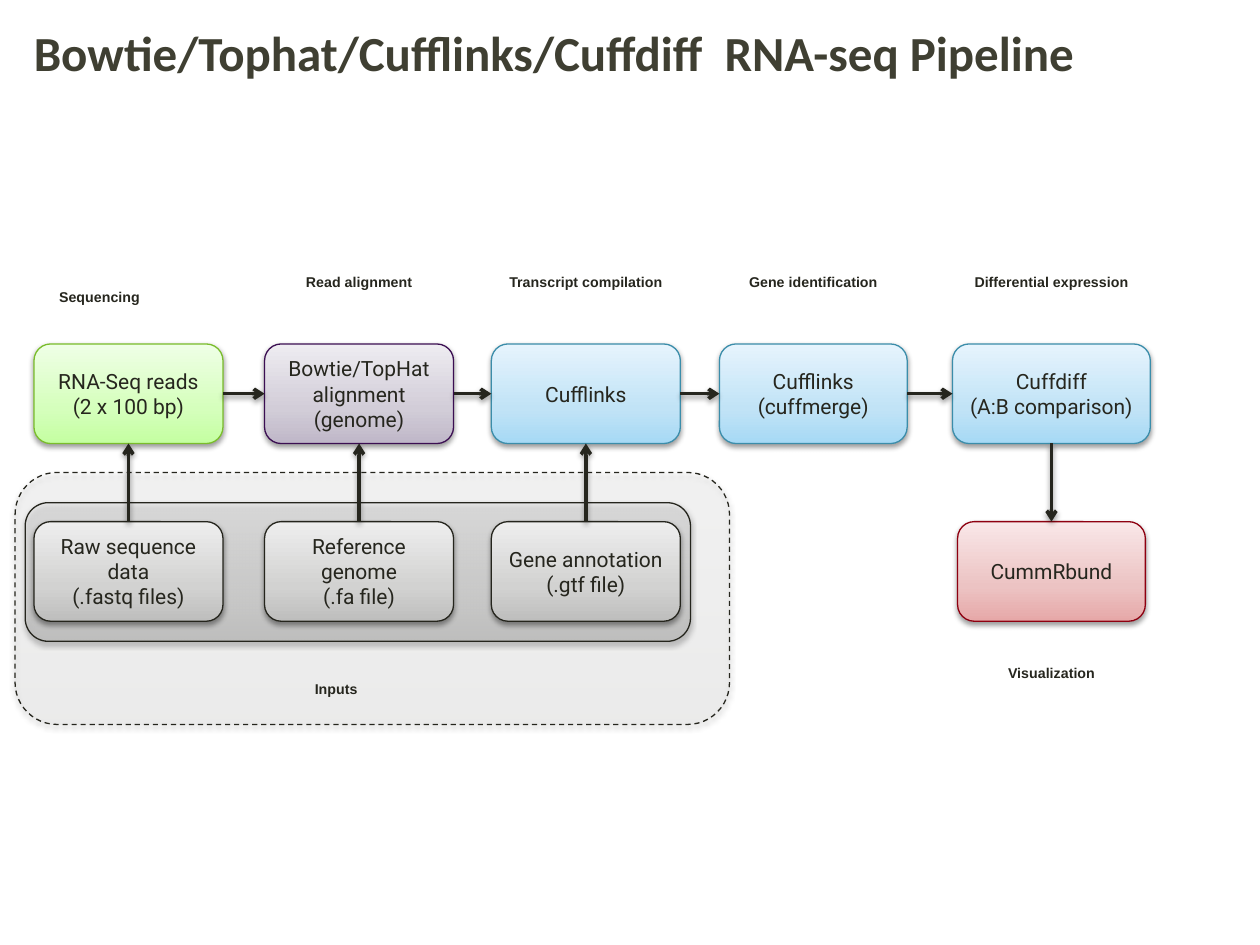
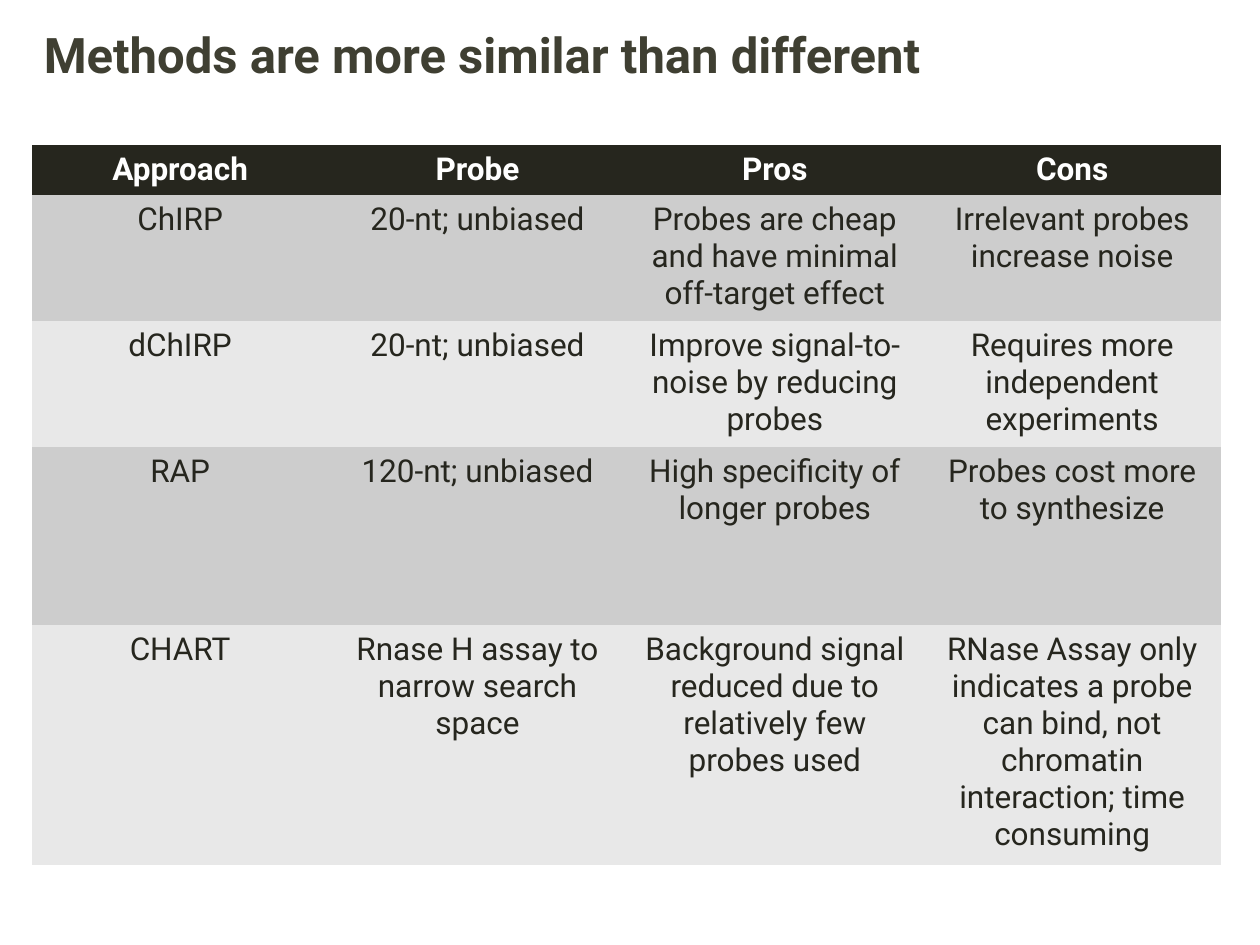
from dataclasses import dataclass

from lxml.etree import SubElement
from pptx import Presentation
from pptx.dml.color import RGBColor
from pptx.enum.dml import MSO_LINE
from pptx.enum.shapes import MSO_CONNECTOR, MSO_SHAPE
from pptx.enum.text import MSO_ANCHOR, PP_ALIGN
from pptx.oxml.ns import qn
from pptx.util import Inches, Pt


@dataclass(frozen=True)
class Theme:
    """Colours, fonts and sizes shared by the slides."""
    title: str = "3F3F32"
    ink: str = "26261E"
    white: str = "FFFFFF"
    bands: tuple = ("CDCDCD", "E8E8E8")
    green: tuple = ("7ABD2B", "C4FFA1", "D5FFBC", "EFFFE6")
    purple: tuple = ("3B0E52", "BFB7C8", "D2CDD8", "EEECF1")
    blue: tuple = ("3B8DAA", "A6D9F5", "C1E3F6", "E6F4FD")
    red: tuple = ("8E0010", "E6A8A8", "ECC3C3", "F9E7E8")
    gray: tuple = ("25251D", "BEBEBD", "D2D2D1", "EEEEEE")
    body_font: str = "Roboto"
    label_font: str = "Arial"
    pipeline_title_font: str = "Calibri"
    title_size: int = 28
    table_size: int = 18
    label_size: int = 14
    node_size: int = 12


THEME = Theme()
NODE_HEIGHT = 0.79
NO_STYLE = "{2D5ABB26-0587-4C30-8999-92F81FD0307C}"


@dataclass(frozen=True)
class Box:
    """A rectangle in inches."""
    left: float
    top: float
    width: float
    height: float

    def inside(self, left, top, width, height):
        """Return a box placed relative to this one."""
        return Box(self.left + left, self.top + top, width, height)

    def lengths(self):
        """Return left, top, width and height as lengths."""
        return [Inches(value) for value in (self.left, self.top, self.width, self.height)]


def write(frame, text, size, color=THEME.ink, font=THEME.body_font, bold=False,
          align=PP_ALIGN.CENTER, anchor=MSO_ANCHOR.TOP, baseline=None):
    """Fill a text frame with one paragraph per line of text."""
    frame.word_wrap = True
    frame.vertical_anchor = anchor
    for index, line in enumerate(text.split("\n")):
        para = frame.add_paragraph() if index else frame.paragraphs[0]
        para.alignment = align
        span = para.add_run()
        span.text = line
        span.font.size = Pt(size)
        span.font.name = font
        span.font.bold = bold
        span.font.color.rgb = RGBColor.from_string(color)
        if baseline:
            span.font._element.set("baseline", str(baseline))


def add_title(slide, box, text, font=THEME.body_font):
    """Add the slide title."""
    frame = slide.shapes.add_textbox(*box.lengths()).text_frame
    write(frame, text, THEME.title_size, color=THEME.title, font=font, bold=True,
          align=PP_ALIGN.LEFT, anchor=MSO_ANCHOR.MIDDLE)


def add_label(slide, box, text, align=PP_ALIGN.CENTER):
    """Add a bold subscript stage label."""
    frame = slide.shapes.add_textbox(*box.lengths()).text_frame
    write(frame, text, THEME.label_size, font=THEME.label_font, bold=True,
          align=align, baseline=-25000)


def add_shadow(effects):
    """Put the soft shadow below an object into its effect list."""
    shadow = SubElement(effects, qn("a:outerShdw"), blurRad=str(Pt(3.1)),
                        dist=str(Pt(1.6)), dir="5400000", rotWithShape="0")
    color = SubElement(shadow, qn("a:srgbClr"), val="000000")
    SubElement(color, qn("a:alpha"), val="38000")


def add_panel(slide, box, palette, opacity=100):
    """Add a rounded rectangle with a three-stop gradient and a shadow."""
    outline, *stops = palette
    panel = slide.shapes.add_shape(MSO_SHAPE.ROUNDED_RECTANGLE, *box.lengths())
    panel.line.color.rgb = RGBColor.from_string(outline)
    panel.line.width = Pt(0.75)
    panel.fill.gradient()
    panel.fill.gradient_angle = 90
    properties = panel._element.spPr
    stop_list = properties.find(".//" + qn("a:gsLst"))
    for stop in list(stop_list):
        stop_list.remove(stop)
    for position, value in zip((0, 35, 100), stops):
        stop = SubElement(stop_list, qn("a:gs"), pos=str(position * 1000))
        color = SubElement(stop, qn("a:srgbClr"), val=value)
        if opacity < 100:
            SubElement(color, qn("a:alpha"), val=str(opacity * 1000))
    panel.shadow.inherit = False
    add_shadow(properties.find(qn("a:effectLst")))
    return panel


def add_node(slide, box, text, palette):
    """Add a labelled step of the pipeline."""
    node = add_panel(slide, box, palette)
    write(node.text_frame, text, THEME.node_size, anchor=MSO_ANCHOR.MIDDLE)
    return node


def add_arrow(slide, start, start_side, end, end_side):
    """Join the sides of two nodes with an arrow."""
    arrow = slide.shapes.add_connector(MSO_CONNECTOR.STRAIGHT, 0, 0, 0, 0)
    arrow.begin_connect(start, start_side)
    arrow.end_connect(end, end_side)
    arrow.line.color.rgb = RGBColor.from_string(THEME.ink)
    arrow.line.width = Pt(2)
    properties = arrow._element.spPr
    SubElement(properties.find(qn("a:ln")), qn("a:tailEnd"), type="arrow")
    add_shadow(SubElement(properties, qn("a:effectLst")))


def add_input_panels(slide, box):
    """Add the two nested backgrounds and the caption of the inputs."""
    outer = add_panel(slide, box, THEME.gray, opacity=13)
    outer.line.dash_style = MSO_LINE.DASH
    add_panel(slide, box.inside(0.08, 0.24, 5.28, 1.1), THEME.gray, opacity=51)
    add_label(slide, box.inside(2.28, 1.47, 0.79, 0.34), "Inputs", align=PP_ALIGN.LEFT)


def add_stages(slide, box):
    """Add the row of labelled steps, joined from left to right."""
    stages = [
        (0, 1.5, "RNA-Seq reads (2 x 100 bp)", "Sequencing", THEME.green),
        (1.83, 1.5, "Bowtie/TopHat alignment (genome)", "Read alignment", THEME.purple),
        (3.63, 1.5, "Cufflinks", "Transcript compilation", THEME.blue),
        (5.44, 1.49, "Cufflinks (cuffmerge)", "Gene identification", THEME.blue),
        (7.29, 1.57, "Cuffdiff\n(A:B comparison)", "Differential expression", THEME.blue),
    ]
    node_top = box.height - NODE_HEIGHT
    nodes = []
    for left, width, text, label, palette in stages:
        nodes.append(add_node(slide, box.inside(left, node_top, width, NODE_HEIGHT),
                              text, palette))
        if left:
            label_left = left + (width - 1.81) / 2
            add_label(slide, box.inside(label_left, 0, 1.81, 0.57), label)
        else:
            add_label(slide, box.inside(0.1, 0.12, 1.31, 0.34), label, align=PP_ALIGN.LEFT)
    for start, end in zip(nodes, nodes[1:]):
        add_arrow(slide, start, 3, end, 1)
    return nodes


def add_inputs(slide, box, stages):
    """Add the input files and point each at the step above it."""
    texts = ["Raw sequence data\n(.fastq files)", "Reference genome\n(.fa file)",
             "Gene annotation\n(.gtf file)"]
    for left, text, stage in zip((0, 1.83, 3.63), texts, stages):
        node = add_node(slide, box.inside(left, 0, 1.5, box.height), text, THEME.gray)
        add_arrow(slide, node, 0, stage, 2)


def add_visualization(slide, box, source):
    """Add the plotting step with its label below."""
    node = add_node(slide, box.inside(0.16, 0, 1.49, NODE_HEIGHT), "CummRbund", THEME.red)
    add_label(slide, box.inside(0, 0.95, box.width, 0.34), "Visualization")
    add_arrow(slide, source, 2, node, 0)


def add_pipeline_slide(deck):
    """Add the slide with the flow diagram."""
    slide = deck.slides.add_slide(deck.slide_layouts[6])
    add_title(slide, Box(0.17, 0, 9.67, 0.83),
              "Bowtie/Tophat/Cufflinks/Cuffdiff  RNA-seq Pipeline",
              font=THEME.pipeline_title_font)
    add_input_panels(slide, Box(0.12, 3.75, 5.67, 2))
    stages = add_stages(slide, Box(0.27, 1.99, 8.86, 1.53))
    add_visualization(slide, Box(7.44, 4.14, 1.81, 1.29), stages[-1])
    add_inputs(slide, Box(0.27, 4.14, 5.13, NODE_HEIGHT), stages)


def add_methods_table(slide, box):
    """Add the table that compares the approaches."""
    rows = [
        ("Approach", "Probe", "Pros", "Cons"),
        ("ChIRP", "20-nt; unbiased", "Probes are cheap and have minimal off-target effect",
         "Irrelevant probes increase noise"),
        ("dChIRP", "20-nt; unbiased", "Improve signal-to-noise by reducing probes",
         "Requires more independent experiments"),
        ("RAP", "120-nt; unbiased", "High specificity of longer probes",
         "Probes cost more to synthesize"),
        ("CHART", "Rnase H assay to narrow search space",
         "Background signal reduced due to relatively few probes used",
         "RNase Assay only indicates a probe can bind, not chromatin interaction; "
         "time consuming"),
    ]
    table = slide.shapes.add_table(len(rows), len(rows[0]), *box.lengths()).table
    table._tbl.tblPr.find(qn("a:tableStyleId")).text = NO_STYLE
    for row, height in zip(table.rows, (0.39, 0.98, 0.98, 1.41, 1.86)):
        row.height = Inches(height)
    for row_index, texts in enumerate(rows):
        header = row_index == 0
        band = THEME.ink if header else THEME.bands[(row_index - 1) % 2]
        for column_index, text in enumerate(texts):
            cell = table.cell(row_index, column_index)
            cell.fill.solid()
            cell.fill.fore_color.rgb = RGBColor.from_string(band)
            write(cell.text_frame, text, THEME.table_size, bold=header,
                  color=THEME.white if header else THEME.ink)


def add_methods_slide(deck):
    """Add the slide with the comparison of methods."""
    slide = deck.slides.add_slide(deck.slide_layouts[6])
    add_title(slide, Box(0.25, 0.12, 9.44, 0.62), "Methods are more similar than different")
    add_methods_table(slide, Box(0.25, 1.15, 9.44, 5.62))


def main():
    """Build and save the deck."""
    deck = Presentation()
    deck.slide_width = Inches(10)
    deck.slide_height = Inches(7.5)
    add_pipeline_slide(deck)
    add_methods_slide(deck)
    deck.save("out.pptx")


if __name__ == "__main__":
    main()
